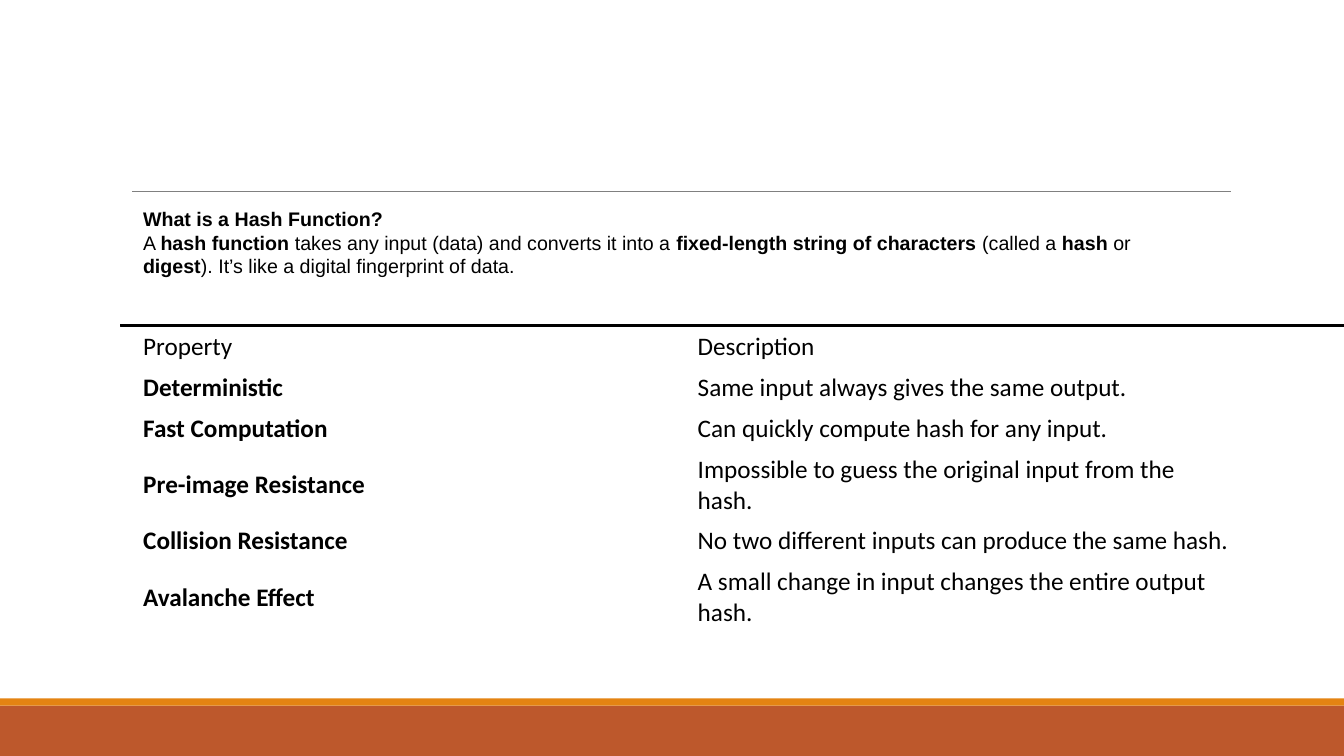
from typing import NamedTuple

from pptx import Presentation
from pptx.dml.color import RGBColor
from pptx.enum.shapes import MSO_CONNECTOR, MSO_SHAPE
from pptx.enum.text import MSO_ANCHOR, MSO_AUTO_SIZE
from pptx.oxml.ns import qn
from pptx.util import Inches, Pt
from lxml import etree

RECTANGLE = MSO_SHAPE.RECTANGLE
STRAIGHT = MSO_CONNECTOR.STRAIGHT
MIDDLE = MSO_ANCHOR.MIDDLE
GROW = MSO_AUTO_SIZE.SHAPE_TO_FIT_TEXT

COLORS = {
    "footer": "BD582C",
    "accent": "E48312",
    "rule": "808080",
    "ink": "000000",
}
SLIDE_WIDTH, SLIDE_HEIGHT = 13.33, 7.5
CONTENT_LEFT = 1.32
ONE_LINE, TWO_LINES = 0.4, 0.71


class Bar(NamedTuple):
    left: float
    top: float
    height: float
    color: str
    outline: float = 0


class Property(NamedTuple):
    name: str
    description: str
    height: float = ONE_LINE
    bold_name: bool = True


FOOTER_BARS = [
    Bar(0, 7, 0.5, "footer"),
    Bar(0, 6.93, 0.07, "accent"),
]
TABLE_TOP_BAR = Bar(1.2, 3.22, 0.02, "ink", 0.75)

PROPERTIES = [
    Property("Property", "Description", bold_name=False),
    Property("Deterministic", "Same input always gives the same output."),
    Property("Fast Computation", "Can quickly compute hash for any input."),
    Property("Pre-image Resistance",
             "Impossible to guess the original input from the hash.", TWO_LINES),
    Property("Collision Resistance",
             "No two different inputs can produce the same hash."),
    Property("Avalanche Effect",
             "A small change in input changes the entire output hash.", TWO_LINES),
]

DEFINITION = [
    "**What is a Hash Function?**",
    "A **hash function** takes any input (data) and converts it into a "
    "**fixed-length string of characters** (called a **hash** or **digest**). "
    "It’s like a digital fingerprint of data.",
]


def color(name: str) -> RGBColor:
    return RGBColor.from_string(COLORS[name])


def set_font(font, family: str, size: float) -> None:
    font.name = family
    font.size = Pt(size)
    font.color.rgb = color("ink")


def add_bar(slide, bar: Bar) -> None:
    shape = slide.shapes.add_shape(
        RECTANGLE, Inches(bar.left), Inches(bar.top),
        Inches(SLIDE_WIDTH), Inches(bar.height))
    shape.shadow.inherit = False
    shape.fill.solid()
    shape.fill.fore_color.rgb = color(bar.color)
    if bar.outline:
        shape.line.color.rgb = color(bar.color)
        shape.line.width = Pt(bar.outline)
    else:
        shape.line.fill.background()


def add_title_rule(slide) -> None:
    rule = slide.shapes.add_connector(
        STRAIGHT, Inches(1.31), Inches(1.9), Inches(12.21), Inches(1.9))
    rule.line.color.rgb = color("rule")
    rule.line.width = Pt(0.5)
    etree.SubElement(rule._element.spPr, qn("a:effectLst"))


def add_property_table(slide) -> None:
    height = sum(row.height for row in PROPERTIES)
    table = slide.shapes.add_table(
        len(PROPERTIES), 2, Inches(CONTENT_LEFT), Inches(3.24),
        Inches(11), Inches(height)).table
    table.first_row = table.horz_banding = False
    for row, entry in zip(table.rows, PROPERTIES):
        row.height = Inches(entry.height)
        texts = [(entry.name, entry.bold_name), (entry.description, False)]
        for cell, (text, bold) in zip(row.cells, texts):
            cell.fill.background()
            cell.vertical_anchor = MIDDLE
            cell.text = text
            font = cell.text_frame.paragraphs[0].font
            set_font(font, "Calibri", 18)
            font.bold = bold


def add_definition(slide) -> None:
    """Text between double asterisks becomes bold."""
    frame = slide.shapes.add_textbox(
        Inches(CONTENT_LEFT), Inches(2), Inches(10.25), Inches(0.81)).text_frame
    frame.word_wrap = True
    frame.auto_size = GROW
    frame.vertical_anchor = MIDDLE
    for index, sentence in enumerate(DEFINITION):
        paragraph = frame.add_paragraph() if index else frame.paragraphs[0]
        set_font(paragraph.font, "Arial", 14)
        for position, part in enumerate(sentence.split("**")):
            if part:
                run = paragraph.add_run()
                run.text = part
                run.font.bold = position % 2 == 1


def main() -> None:
    deck = Presentation()
    deck.slide_width = Inches(SLIDE_WIDTH)
    deck.slide_height = Inches(SLIDE_HEIGHT)
    slide = deck.slides.add_slide(deck.slide_layouts[6])
    for bar in FOOTER_BARS:
        add_bar(slide, bar)
    add_title_rule(slide)
    add_property_table(slide)
    add_definition(slide)
    add_bar(slide, TABLE_TOP_BAR)
    deck.save("out.pptx")


if __name__ == "__main__":
    main()
